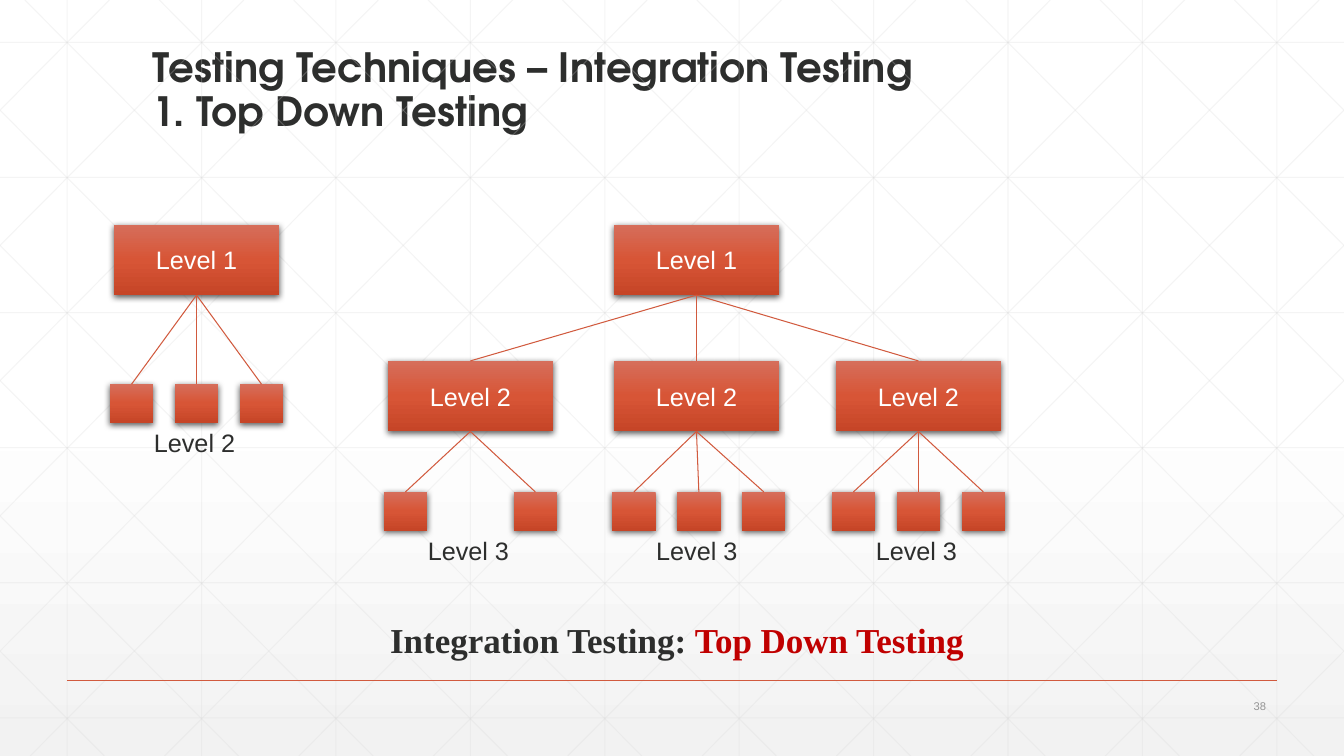
"""Builds the slide on top-down integration testing with its two module trees."""
import copy
import itertools

import pptx
import pptx.dml.color
import pptx.enum.shapes
import pptx.enum.text
import pptx.oxml
import pptx.oxml.ns
import pptx.util

Pt = pptx.util.Pt
ALIGN = pptx.enum.text.PP_ALIGN
ANCHOR = pptx.enum.text.MSO_ANCHOR
RECTANGLE = pptx.enum.shapes.MSO_SHAPE.RECTANGLE
STRAIGHT = pptx.enum.shapes.MSO_CONNECTOR.STRAIGHT
NS = pptx.oxml.ns.nsdecls("a")
rgb = pptx.dml.color.RGBColor.from_string

WIDTH, HEIGHT = 960, 540
INK, WHITE, RED, RUST, GRID, GREY = "2D2E2D", "FFFFFF", "C00000", "D15A3E", "D8D8D8", "959595"
PAGE_STOPS = ((0, WHITE), (0.53, WHITE), (1, "F2F2F2"))
MODULE_STOPS = ((0, "D66E5B"), (0.5, "D75536"), (1, "C64527"))
SHADOW = (f'<a:outerShdw {NS} blurRad="57150" dist="19050" dir="5400000" algn="ctr" rotWithShape="0">'
          '<a:srgbClr val="000000"><a:alpha val="63000"/></a:srgbClr></a:outerShdw>')


def fill_gradient(fill, element, stops):
    fill.gradient()
    fill.gradient_angle = 270
    stop_list = element.xpath(".//a:gsLst")[0]
    stop_list.append(copy.deepcopy(stop_list[-1]))
    for stop, (position, colour) in zip(fill.gradient_stops, stops):
        stop.position = position
        stop.color.rgb = rgb(colour)


def draw_line(start, end, colour=RUST, width=0.75, opacity=100):
    line = slide.shapes.add_connector(STRAIGHT, *(Pt(value) for value in (*start, *end)))
    line.line.width = Pt(width)
    line.line.color.rgb = rgb(colour)
    properties = line._element.spPr
    if opacity < 100:
        properties.xpath(".//a:srgbClr")[0].append(
            pptx.oxml.parse_xml(f'<a:alpha {NS} val="{opacity * 1000}"/>'))
    properties.append(pptx.oxml.parse_xml(f"<a:effectLst {NS}/>"))


presentation = pptx.Presentation()
presentation.slide_width, presentation.slide_height = Pt(WIDTH), Pt(HEIGHT)
slide = presentation.slides.add_slide(presentation.slide_layouts[5])
fill_gradient(slide.background.fill, slide._element, PAGE_STOPS)

# Each grid line is a pair of end points.
grid = [((x, 0), (x, HEIGHT)) for x in range(48, WIDTH, 96)]
grid += [((0, 30.25 + 96.5 * row), (WIDTH, 30.25 + 96.5 * row)) for row in range(6)]
run_width = 536.7
slope = HEIGHT / run_width
for step in range(-5, 10):
    top_x = 17.8 + 96 * step
    left, right = max(top_x, 0), min(top_x + run_width, WIDTH)
    upper, lower = (left - top_x) * slope, (right - top_x) * slope
    grid.append(((left, upper), (right, lower)))
    grid.append(((WIDTH - left, upper), (WIDTH - right, lower)))
for start, end in grid:
    draw_line(start, end, GRID, opacity=25)
draw_line((48, 486), (912, 486), width=1)

MODULE_W, MODULE_H = 118, 50.4
LEAF_W, LEAF_H, LEAF_STEP = 31, 27.6, 46.4
LEVEL_1_TOP, LEVEL_2_TOP = 160.4, 257.8
LEFT_ROOT, MAIN_ROOT = 140.4, 497.5
LEVEL_2_CENTRES = (336, MAIN_ROOT, 656)

modules = [("Level 1", LEFT_ROOT, LEVEL_1_TOP), ("Level 1", MAIN_ROOT, LEVEL_1_TOP)]
modules += [("Level 2", centre, LEVEL_2_TOP) for centre in LEVEL_2_CENTRES]
families = (
    ("Level 2", LEFT_ROOT, LEVEL_1_TOP, LEFT_ROOT, 274.4, (-1, 0, 1)),
    ("Level 3", 336, LEVEL_2_TOP, 336, 351.4, (-1, 1)),
    ("Level 3", MAIN_ROOT, LEVEL_2_TOP, 499.2, 351.4, (-1, 0, 1)),
    ("Level 3", 656, LEVEL_2_TOP, 656, 351.4, (-1, 0, 1)),
)
boxes = [(text, centre, top, MODULE_W, MODULE_H) for text, centre, top in modules]
branches = [((MAIN_ROOT, LEVEL_1_TOP + MODULE_H), (centre, LEVEL_2_TOP)) for centre in LEVEL_2_CENTRES]
labels = []
for text, parent, parent_top, middle, leaf_top, offsets in families:
    for offset in offsets:
        leaf = middle + offset * LEAF_STEP
        boxes.append(("", leaf, leaf_top, LEAF_W, LEAF_H))
        branches.append(((parent, parent_top + MODULE_H), (leaf, leaf_top)))
    labels.append((text, middle - 70.4, leaf_top + 27.4, 138, 29))

label_format = {"size": Pt(18), "name": "Arial"}
title_format = {"size": Pt(28.8), "name": "TeX Gyre Adventor", "bold": True}
caption_format = {"size": Pt(25), "name": "Times New Roman", "bold": True}
number_format = {"size": Pt(8), "name": "Arial"}

title = slide.shapes.title
title.left, title.top, title.width, title.height = Pt(102), Pt(39.6), Pt(756), Pt(60.4)
title.text_frame.text = "Testing Techniques – Integration Testing\v1. Top Down Testing"
title.text_frame.paragraphs[0].line_spacing = 0.9
texts = [(title.text_frame, ALIGN.LEFT, ANCHOR.BOTTOM, (INK,), title_format)]

for text, centre, top, width, height in boxes:
    box = slide.shapes.add_shape(RECTANGLE, Pt(centre - width / 2), Pt(top), Pt(width), Pt(height))
    fill_gradient(box.fill, box._element, MODULE_STOPS)
    box.line.fill.background()
    box.shadow.inherit = False
    box._element.xpath(".//a:effectLst")[0].append(pptx.oxml.parse_xml(SHADOW))
    if text:
        box.text_frame.text = text
        texts.append((box.text_frame, ALIGN.CENTER, ANCHOR.MIDDLE, (WHITE,), label_format))
for start, end in branches:
    draw_line(start, end)

notes = [(label, ALIGN.CENTER, ANCHOR.TOP, (INK,), label_format) for label in labels]
notes.append((("Integration Testing: ", 186.5, 438.5, 594, 37.6),
              ALIGN.CENTER, ANCHOR.TOP, (INK, RED), caption_format))
notes.append((("38", 839.5, 495.4, 72, 17.3), ALIGN.RIGHT, ANCHOR.MIDDLE, (GREY,), number_format))
for (text, *place), align, anchor, colours, values in notes:
    frame = slide.shapes.add_textbox(*(Pt(value) for value in place)).text_frame
    frame.text = text
    if len(colours) > 1:
        frame.paragraphs[0].add_run().text = "Top Down Testing"
    texts.append((frame, align, anchor, colours, values))

for frame, align, anchor, colours, values in texts:
    frame.auto_size = pptx.enum.text.MSO_AUTO_SIZE.NONE
    frame.word_wrap = True
    frame.vertical_anchor = anchor
    paragraph = frame.paragraphs[0]
    paragraph.alignment = align
    for run, colour in zip(paragraph.runs, itertools.cycle(colours)):
        for attribute, value in values.items():
            setattr(run.font, attribute, value)
        run.font.color.rgb = rgb(colour)
    for line_break in paragraph._p.xpath("a:br"):
        line_break.append(copy.deepcopy(paragraph.runs[0]._r.rPr))

presentation.save("out.pptx")
